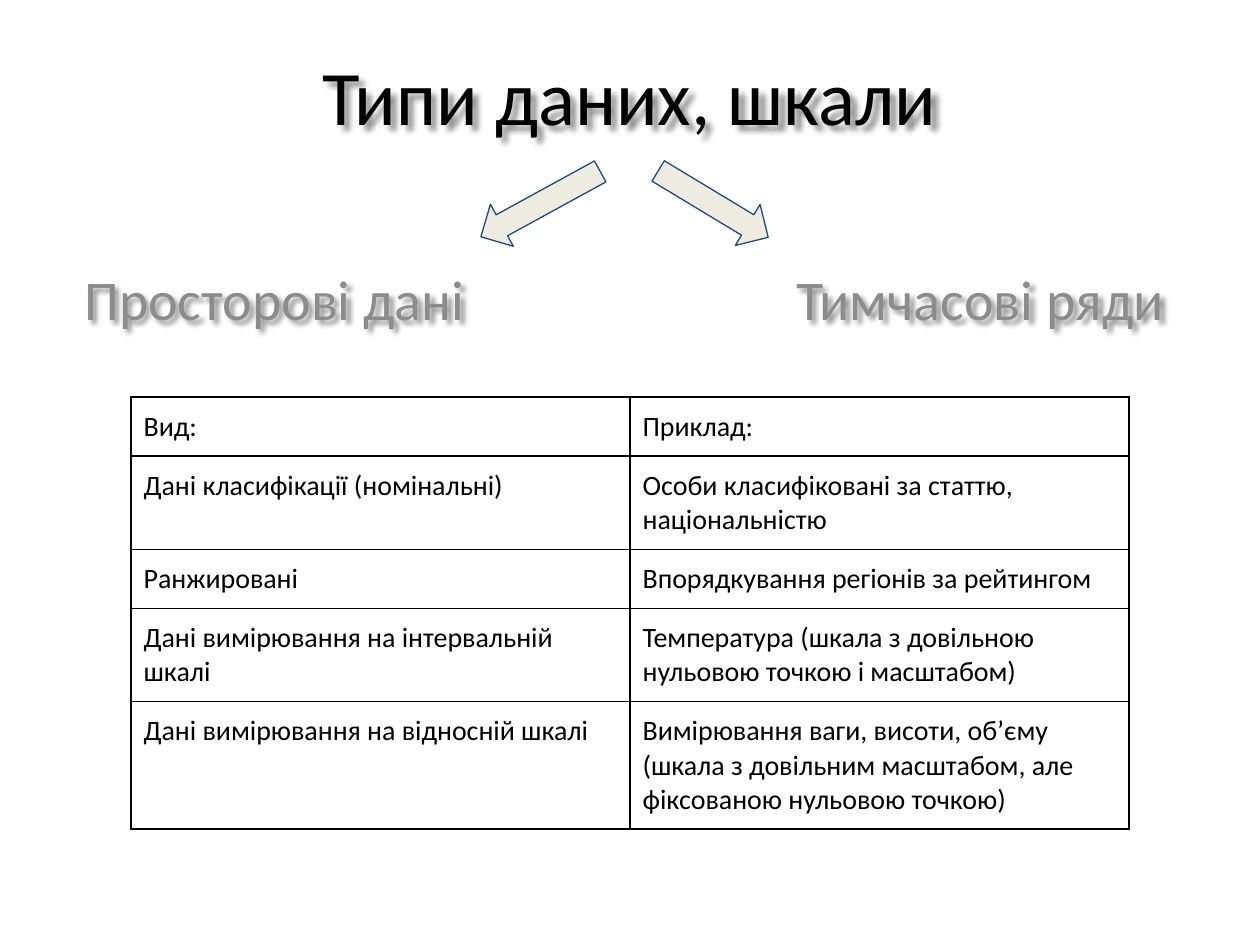
from dataclasses import dataclass

from lxml import etree
from pptx import Presentation
from pptx.dml.color import RGBColor
from pptx.enum import shapes, text
from pptx.oxml import ns
from pptx.util import Inches, Pt


@dataclass(frozen=True)
class Theme:
    font: str = "Calibri"
    ink: str = "000000"
    muted: str = "8C8C8C"
    arrow_fill: str = "EEECE1"
    arrow_line: str = "1F497D"
    title_size: int = 44
    heading_size: int = 32
    table_size: int = 16


THEME = Theme()
INSET = Inches(0.1)
ROWS = [
    ("Вид:", "Приклад:"),
    ("Дані класифікації (номінальні)",
     "Особи класифіковані за статтю, національністю"),
    ("Ранжировані", "Впорядкування регіонів за рейтингом"),
    ("Дані вимірювання на інтервальній шкалі",
     "Температура (шкала з довільною нульовою точкою і масштабом)"),
    ("Дані вимірювання на відносній шкалі",
     "Вимірювання ваги, висоти, об’єму (шкала з довільним масштабом, "
     "але фіксованою нульовою точкою)"),
]
LINES_PER_ROW = [1, 2, 1, 2, 3]


def add_element(parent, tag, **attributes):
    return etree.SubElement(parent, ns.qn(tag), attributes)


def style_paragraph(p, size, color):
    p.font.name = THEME.font
    p.font.size = Pt(size)
    p.font.color.rgb = RGBColor.from_string(color)


def set_insets(box):
    box.margin_left = box.margin_right = INSET
    box.margin_top = box.margin_bottom = INSET


def add_soft_shadow(sp):
    effects = add_element(sp._element.spPr, "a:effectLst")
    shadow = add_element(effects, "a:outerShdw", blurRad="38100", dist="38100",
                         dir="2700000", algn="tl", rotWithShape="0")
    color = add_element(shadow, "a:srgbClr", val=THEME.ink)
    add_element(color, "a:alpha", val="43000")


def add_heading(s, words, box, size, color, anchor=text.MSO_ANCHOR.TOP):
    sp = s.shapes.add_textbox(*map(Inches, box))
    add_soft_shadow(sp)
    tf = sp.text_frame
    tf.word_wrap = True
    tf.vertical_anchor = anchor
    set_insets(tf)
    p = tf.paragraphs[0]
    p.text = words
    p.alignment = text.PP_ALIGN.CENTER
    style_paragraph(p, size, color)


def add_arrow(s, box, rotation):
    sp = s.shapes.add_shape(shapes.MSO_SHAPE.DOWN_ARROW, *map(Inches, box))
    sp.rotation = rotation
    sp.shadow.inherit = False
    sp.fill.solid()
    sp.fill.fore_color.rgb = RGBColor.from_string(THEME.arrow_fill)
    sp.line.color.rgb = RGBColor.from_string(THEME.arrow_line)
    sp.line.width = Pt(0.75)


def add_borders(cell):
    tcPr = cell._tc.get_or_add_tcPr()
    for i, side in enumerate(("a:lnL", "a:lnR", "a:lnT", "a:lnB")):
        line = etree.Element(ns.qn(side), w=str(Pt(1)))
        fill = add_element(line, "a:solidFill")
        add_element(fill, "a:srgbClr", val=THEME.ink)
        tcPr.insert(i, line)


def add_scale_table(s):
    heights = [Inches(0.2 + 0.27 * n) for n in LINES_PER_ROW]
    frame = s.shapes.add_table(len(ROWS), 2, Inches(1.04), Inches(3.15),
                               Inches(7.92), sum(heights))
    table = frame.table
    table.first_row = table.horz_banding = False
    for row, height, words in zip(table.rows, heights, ROWS):
        row.height = height
        for cell, value in zip(row.cells, words):
            cell.text = value
            cell.fill.background()
            set_insets(cell)
            add_borders(cell)
            style_paragraph(cell.text_frame.paragraphs[0],
                            THEME.table_size, THEME.ink)


def main():
    prs = Presentation()
    prs.slide_width, prs.slide_height = Inches(10), Inches(7.5)
    s = prs.slides.add_slide(prs.slide_layouts[6])

    # Title
    add_heading(s, "Типи даних, шкали", (0.34, 0.2, 9.32, 1.02),
                THEME.title_size, THEME.ink, text.MSO_ANCHOR.BOTTOM)

    # Two kinds of data
    for words, left in (("Просторові дані", 0.51), ("Тимчасові ряди", 6.11)):
        add_heading(s, words, (left, 2, 3.34, 1.16),
                    THEME.heading_size, THEME.muted)

    # Measurement scales
    add_scale_table(s)

    # Arrows from the title to each kind
    add_arrow(s, (4.1, 1.08, 0.38, 1.08), 61.3)
    add_arrow(s, (5.47, 1.11, 0.38, 1.02), 301.1)

    prs.save("out.pptx")


if __name__ == "__main__":
    main()
